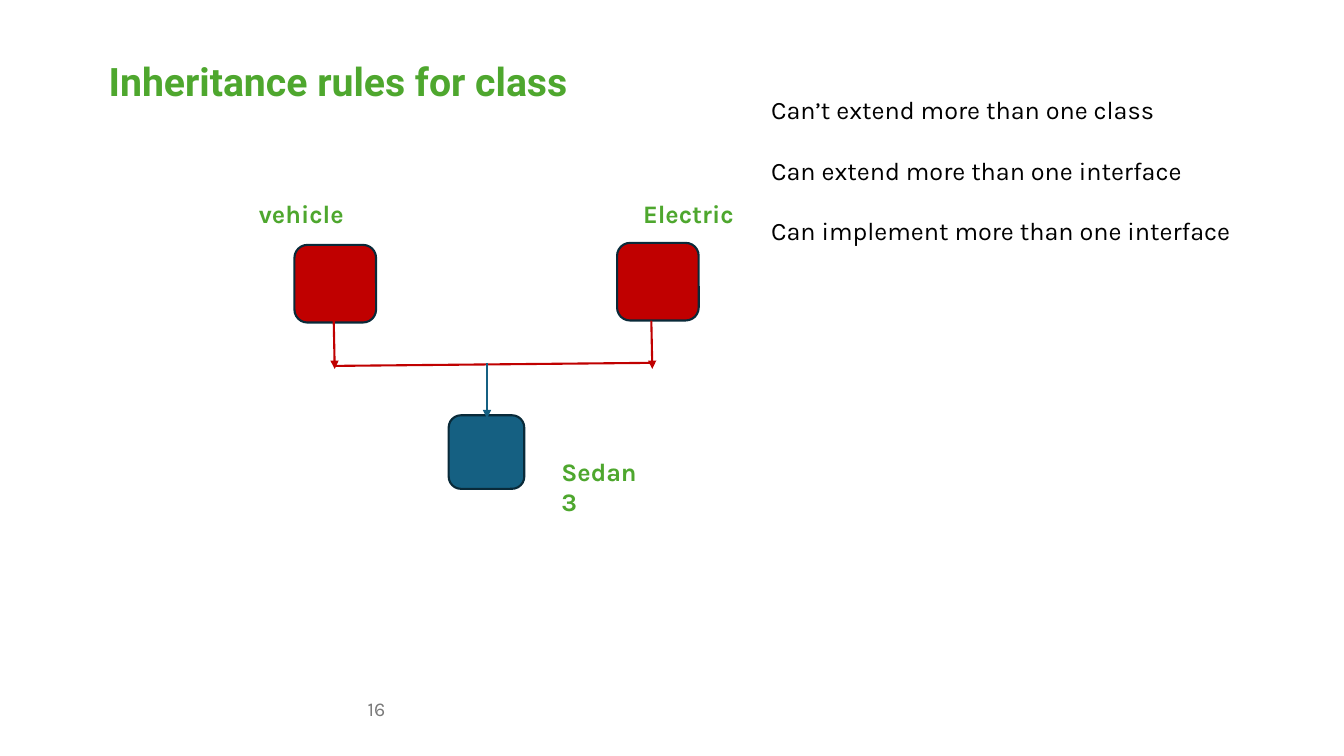
from dataclasses import dataclass

from lxml import etree
from pptx import Presentation
from pptx.dml.color import RGBColor
from pptx.enum import shapes, text
from pptx.oxml import ns
from pptx.util import Inches, Pt


@dataclass(frozen=True)
class Theme:
    green: RGBColor = RGBColor.from_string("4EA72E")
    red: RGBColor = RGBColor.from_string("C00000")
    blue: RGBColor = RGBColor.from_string("156082")
    outline: RGBColor = RGBColor.from_string("092A39")
    black: RGBColor = RGBColor.from_string("000000")
    gray: RGBColor = RGBColor.from_string("797979")
    heading: str = "Roboto"
    body: str = "Karla"
    title_size: int = 28
    body_size: int = 18
    number_size: int = 14
    line_width: float = 1.5


THEME = Theme()


def add_text(page, box, lines, color, size=THEME.body_size, font=THEME.body,
             bold=False, anchor=text.MSO_ANCHOR.TOP, align=text.PP_ALIGN.LEFT,
             gap=0, tabs=()):
    frame = page.shapes.add_textbox(*map(Inches, box)).text_frame
    frame.word_wrap = True
    frame.vertical_anchor = anchor
    for index, line in enumerate(lines):
        para = frame.paragraphs[0] if index == 0 else frame.add_paragraph()
        para.alignment = align
        if index:
            para.space_before = Pt(gap)
        if tabs:
            tab_list = etree.SubElement(para._p.get_or_add_pPr(), ns.qn("a:tabLst"))
            for position in tabs:
                etree.SubElement(tab_list, ns.qn("a:tab"),
                                 pos=str(Inches(position)), algn="l")
        span = para.add_run()
        span.text = line
        span.font.name = font
        span.font.size = Pt(size)
        span.font.bold = bold
        span.font.color.rgb = color


def add_node(page, box, color):
    node = page.shapes.add_shape(shapes.MSO_SHAPE.ROUNDED_RECTANGLE, *map(Inches, box))
    node.shadow.inherit = False
    node.fill.solid()
    node.fill.fore_color.rgb = color
    node.line.color.rgb = THEME.outline
    node.line.width = Pt(THEME.line_width)


def add_link(page, start, end, color, arrow=True):
    link = page.shapes.add_connector(shapes.MSO_CONNECTOR.STRAIGHT,
                                     *map(Inches, (*start, *end)))
    link.line.color.rgb = color
    link.line.width = Pt(THEME.line_width)
    if arrow:
        etree.SubElement(link.line._get_or_add_ln(), ns.qn("a:tailEnd"), type="triangle")
    etree.SubElement(link._element.spPr, ns.qn("a:effectLst"))


def add_title(page, box):
    add_text(page, box, ["Inheritance rules for class"], THEME.green,
             THEME.title_size, THEME.heading, True, text.MSO_ANCHOR.MIDDLE)


def add_diagram(page, box):
    left, top, width, height = box

    def at(x, y):
        return left + x, top + y

    add_node(page, (*at(3.18, 2.2), 0.75, 0.73), THEME.blue)
    add_text(page, (left, top, width, 0.4), ["\tvehicle\tElectric"],
             THEME.green, bold=True, tabs=(1.2, 5.01))
    for x, y in ((1.65, 0.51), (4.85, 0.49)):
        add_node(page, (*at(x, y), 0.81, 0.77), THEME.red)
    for x in (2.04, 5.19):
        add_link(page, at(x, 1.26), at(x + 0.01, 1.74), THEME.red)
    add_link(page, at(2.05, 1.71), at(5.19, 1.68), THEME.red, arrow=False)
    add_link(page, at(3.56, 1.68), at(3.56, 2.23), THEME.blue)
    add_text(page, (*at(4.2, 2.56), 1.0, height - 2.56), ["Sedan 3"],
             THEME.green, bold=True)


def add_rules(page, box):
    rules = [
        "Can’t extend more than one class",
        "Can extend more than one interface",
        "Can implement more than one interface",
    ]
    add_text(page, box, rules, THEME.black, gap=21.5)


def add_page_number(page, box):
    add_text(page, box, ["16"], THEME.gray, THEME.number_size,
             anchor=text.MSO_ANCHOR.MIDDLE, align=text.PP_ALIGN.RIGHT)


def main():
    deck = Presentation()
    deck.slide_width = Inches(13.33)
    deck.slide_height = Inches(7.5)
    page = deck.slides.add_slide(deck.slide_layouts[6])
    add_title(page, (0.98, 0.08, 11.38, 1.45))
    add_diagram(page, (1.27, 1.92, 6.53, 3.26))
    add_rules(page, (7.55, 0.89, 5.7, 1.62))
    add_page_number(page, (1, 6.83, 2.92, 0.4))
    deck.save("out.pptx")


if __name__ == "__main__":
    main()
